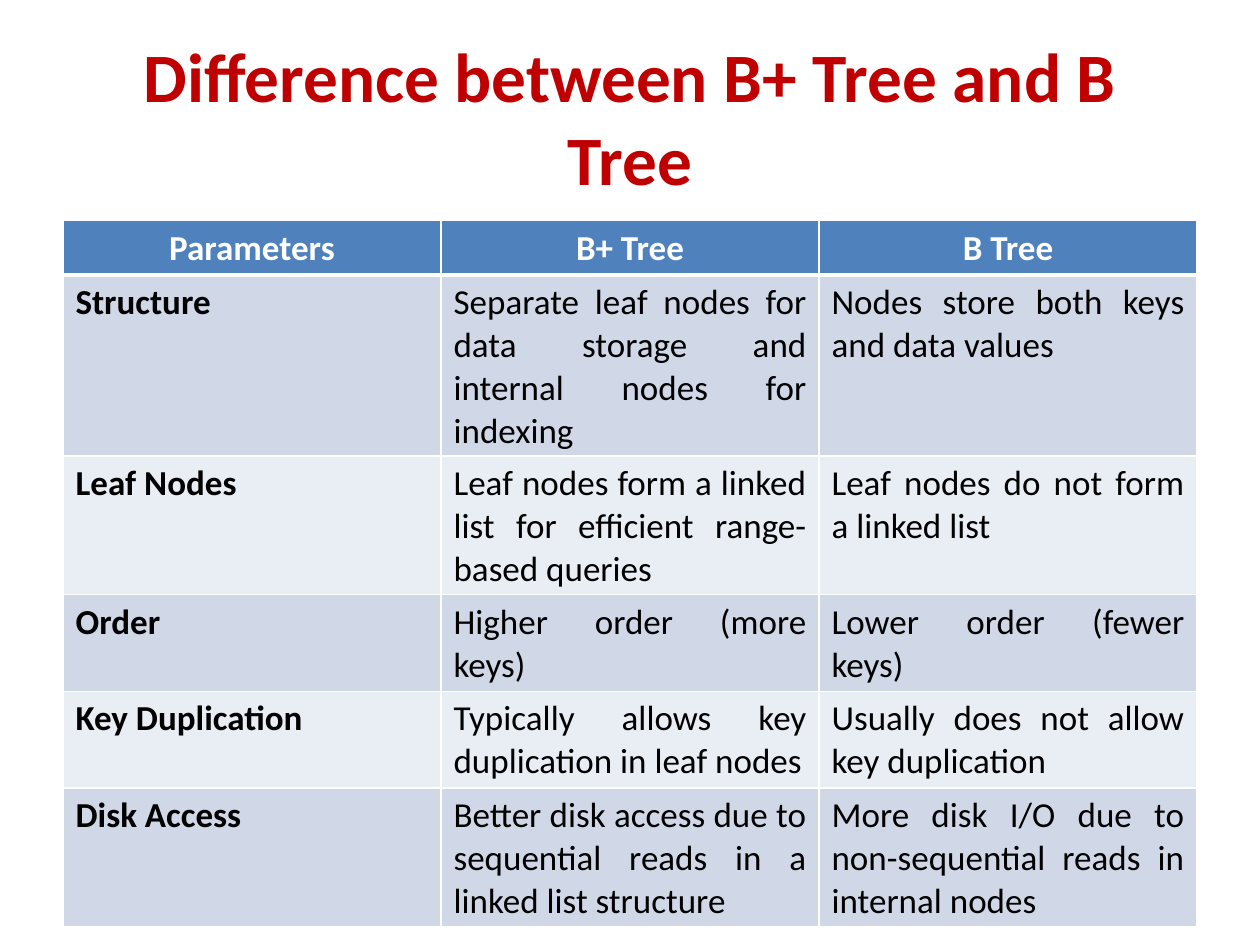
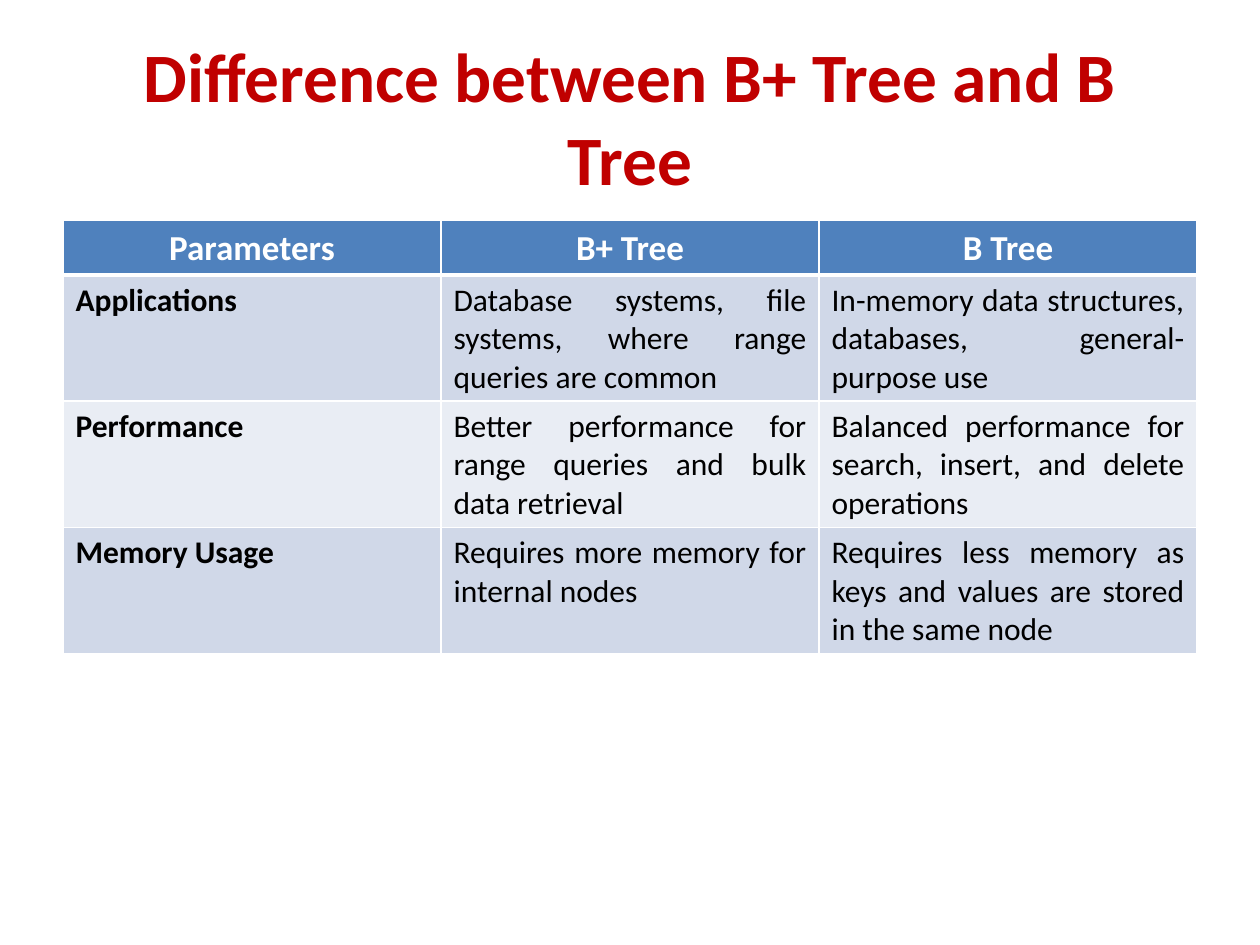
import pptx
import pptx.util
import pptx.dml.color
import pptx.enum.text
import pptx.oxml.ns
import lxml.etree

Pt = pptx.util.Pt
ALIGN = pptx.enum.text.PP_ALIGN
COLORS = {"title": "C00000", "header": "4F81BD", "white": "FFFFFF",
          "text": "000000", "odd_row": "D0D8E8", "even_row": "E9EDF4"}
FONT_NAME = "Calibri"
TITLE = "Difference between B+ Tree and B Tree"
HEADER = ("Parameters", "B+ Tree", "B Tree")
MARGIN, CONTENT_WIDTH = 36, 648

# Each slide: body text size, table height, comparison rows
comparisons = [
    (20, 403.2, [
        ("Structure",
         "Separate leaf nodes for data storage and internal nodes for indexing",
         "Nodes store both keys and data values"),
        ("Leaf Nodes",
         "Leaf nodes form a linked list for efficient range-based queries",
         "Leaf nodes do not form a linked list"),
        ("Order", "Higher order (more keys)", "Lower order (fewer keys)"),
        ("Key Duplication",
         "Typically allows key duplication in leaf nodes",
         "Usually does not allow key duplication"),
        ("Disk Access",
         "Better disk access due to sequential reads in a linked list structure",
         "More disk I/O due to non-sequential reads in internal nodes"),
    ]),
    (18, 247, [
        ("Applications",
         "Database systems, file systems, where range queries are common",
         "In-memory data structures, databases, general-purpose use"),
        ("Performance",
         "Better performance for range queries and bulk data retrieval",
         "Balanced performance for search, insert, and delete operations"),
        ("Memory Usage",
         "Requires more memory for internal nodes",
         "Requires less memory as keys and values are stored in the same node"),
    ]),
]


def write_text(text_frame, text, alignment, color, size, bold):
    paragraph = text_frame.paragraphs[0]
    paragraph.text = text
    paragraph.alignment = alignment
    font = paragraph.runs[0].font
    for name, value in {"name": FONT_NAME, "size": Pt(size), "bold": bold}.items():
        setattr(font, name, value)
    font.color.rgb = pptx.dml.color.RGBColor.from_string(COLORS[color])


def format_cell(cell, fill, border_widths):
    qn = pptx.oxml.ns.qn
    properties = cell._tc.get_or_add_tcPr()
    for side, width in border_widths.items():
        line = lxml.etree.SubElement(properties, qn("a:" + side), w=str(Pt(width)))
        solid = lxml.etree.SubElement(line, qn("a:solidFill"))
        lxml.etree.SubElement(solid, qn("a:srgbClr"), val=COLORS["white"])
    cell.fill.solid()
    cell.fill.fore_color.rgb = pptx.dml.color.RGBColor.from_string(COLORS[fill])


presentation = pptx.Presentation()
presentation.slide_width, presentation.slide_height = Pt(720), Pt(540)

for body_size, table_height, body_rows in comparisons:
    slide = presentation.slides.add_slide(presentation.slide_layouts[6])

    # Title
    title = slide.shapes.add_textbox(Pt(MARGIN), Pt(21.6), Pt(CONTENT_WIDTH), Pt(90))
    title.text_frame.word_wrap = True
    title.text_frame.vertical_anchor = pptx.enum.text.MSO_ANCHOR.MIDDLE
    write_text(title.text_frame, TITLE, ALIGN.CENTER, "title", 39.6, True)

    # Comparison table, whose rows grow with their text
    rows = [HEADER] + body_rows
    table_frame = slide.shapes.add_table(len(rows), len(HEADER), Pt(MARGIN), Pt(126),
                                         Pt(CONTENT_WIDTH), Pt(table_height))
    for row_index, texts in enumerate(rows):
        is_header = row_index == 0
        table_frame.table.rows[row_index].height = Pt(29.2)
        fill = "header" if is_header else "odd_row" if row_index % 2 else "even_row"
        borders = {"lnL": 1, "lnR": 1, "lnT": 3 if row_index == 1 else 1,
                   "lnB": 3 if is_header else 1}
        for column_index, text in enumerate(texts):
            cell = table_frame.table.cell(row_index, column_index)
            format_cell(cell, fill, borders)
            write_text(cell.text_frame, text,
                       ALIGN.CENTER if is_header else ALIGN.JUSTIFY,
                       "white" if is_header else "text",
                       20 if is_header else body_size,
                       is_header or column_index == 0)
    table_frame.height = Pt(table_height)

presentation.save("out.pptx")
